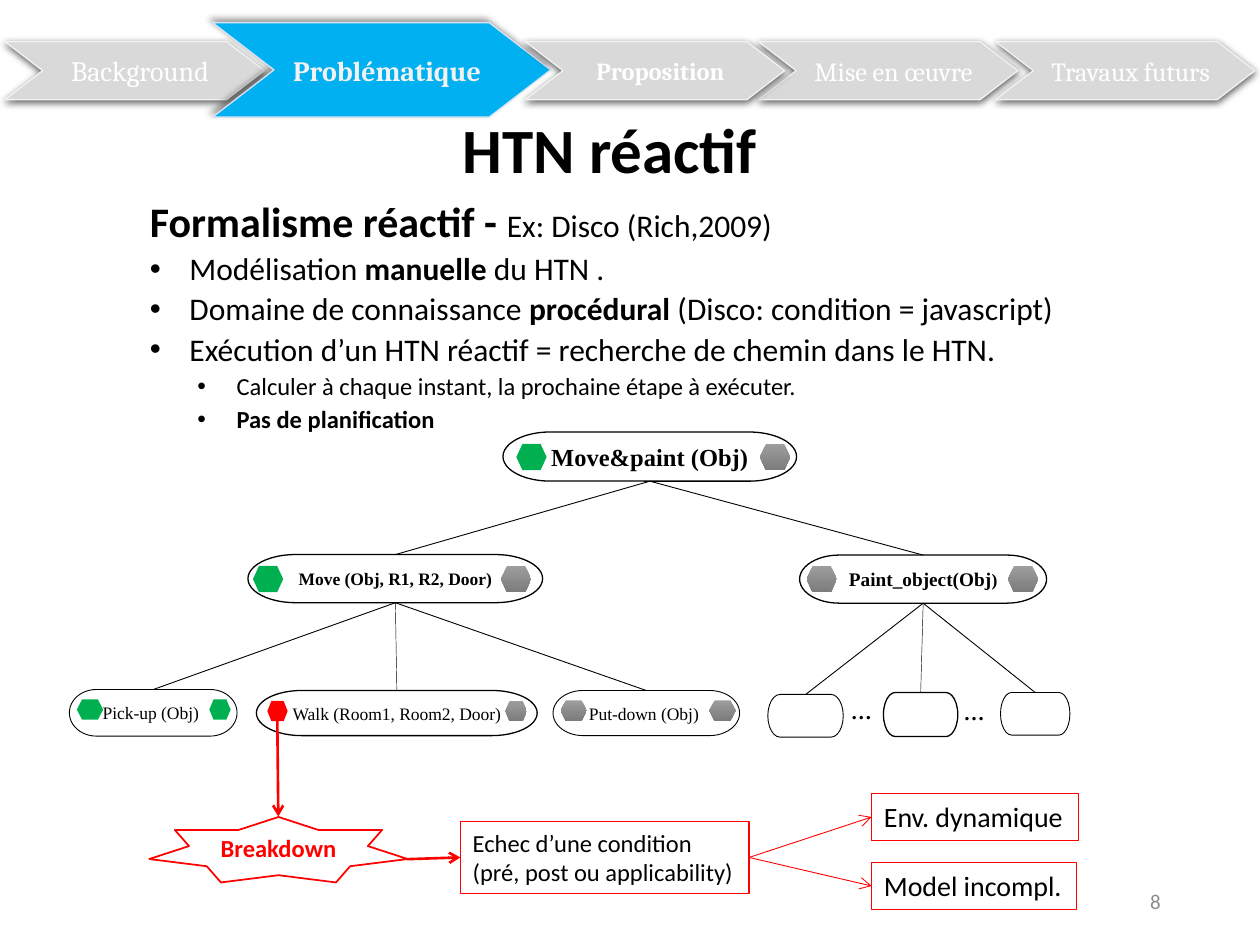
import pptx
import pptx.util
import pptx.dml.color
import pptx.enum.shapes
import pptx.enum.text
from lxml import etree
from pptx.oxml.ns import qn
from pptx.util import Cm

SHAPE = pptx.enum.shapes.MSO_SHAPE
ALIGN = pptx.enum.text.PP_ALIGN
ANCHOR = pptx.enum.text.MSO_ANCHOR

THEME = {
    "body_font": "Calibri", "tree_font": "Times New Roman", "nav_font": "Cambria",
    "text": "000000", "node": "FFFFFF", "alert": "FF0000", "done": "00B050",
    "pending": ("9D9D9D", "7C7C7C"), "number": "8C8C8C",
    "nav_text": "FFFFFF", "nav_active_text": "F2F2F2", "nav_idle": "D9D9D9", "nav_idle_line": "F2F2F2",
    "nav_active": "00B0F0", "nav_active_line": "DAE3F3",
    "title": 36, "heading": 24, "bullet": 18, "small": 14, "output": 16,
    "nav_bold": 14, "nav": 15, "nav_wide": 16, "leaf": 10, "branch": 11, "dots": 12, "page": 12,
}

# Content: lengths in centimetres
TITLE = "HTN réactif "
# label, left, size, bold, current section
SECTIONS = [
    ("Mise en œuvre", 15.29, "nav", False, False),
    ("Background", 0.1, "nav_wide", False, False),
    ("Problématique", 4.29, "nav_wide", True, True),
    ("Travaux futurs", 20.07, "nav", False, False),
    ("Proposition", 10.59, "nav_bold", True, False),
]
# level, size, runs as (text, overrides)
LINES = [
    (0, "heading", [("Formalisme réactif - ", {"bold": True}),
                    ("Ex: Disco (Rich,2009)", {"size": THEME["bullet"]})]),
    (1, "bullet", [("Modélisation ", {}), ("manuelle", {"bold": True}), (" du HTN .", {})]),
    (1, "bullet", [("Domaine de connaissance ", {}), ("procédural", {"bold": True}),
                   (" (Disco: condition = javascript)", {})]),
    (1, "bullet", "Exécution d’un HTN réactif = recherche de chemin dans le HTN."),
    (2, "small", "Calculer à chaque instant, la prochaine étape à exécuter."),
    (2, "small", [("Pas de planification", {"bold": True})]),
]
INDENTS = [(1.27, 0), (2.07, -0.8), (3.02, -0.79)]  # margin and hanging, by level
# text, box, size, bold, line width, marker top, markers as (left, width, state)
NODES = {
    "root": ("Move&paint (Obj)", (10.14, 8.71, 5.92, 0.99), "small", True, 0.75, 8.95,
             [(10.41, 0.61, "done"), (15.32, 0.61, "pending")]),
    "move": ("Move (Obj, R1, R2, Door)", (5, 11.18, 5.94, 0.97), "leaf", True, 0.75, 11.41,
             [(5.1, 0.61, "done"), (10.1, 0.61, "pending")]),
    "paint": ([("Paint_object(Obj", {}), (")", {"size": THEME["leaf"]})],
              (16.12, 11.19, 4.98, 0.97), "branch", True, 0.75, 11.41,
              [(16.26, 0.61, "pending"), (20.32, 0.61, "pending")]),
    "pick up": ("Pick-up (Obj)", (1.4, 13.9, 3.38, 0.94), "leaf", False, 0.5, 14.1,
                [(1.55, 0.53, "done"), (4.22, 0.43, "done")]),
    "walk": ("Walk (Room1, Room2, Door)", (5.17, 13.92, 5.66, 0.91), "leaf", False, 0.75, 14.13,
             [(5.39, 0.41, "alert"), (10.19, 0.43, "pending")]),
    "put down": ("Put-down (Obj)", (11.15, 13.92, 3.76, 0.91), "leaf", False, 0.5, 14.12,
                 [(11.3, 0.53, "pending"), (14.3, 0.53, "pending")]),
    "first step": ("", (15.48, 14, 1.52, 0.86), "leaf", False, 0.5, 0, []),
    "middle step": ("", (17.81, 13.96, 1.5, 0.89), "leaf", False, 0.75, 0, []),
    "last step": ("", (20.17, 13.96, 1.4, 0.86), "leaf", False, 0.5, 0, []),
}
CHILDREN = {
    "root": ["move", "paint"],
    "move": ["pick up", "walk", "put down"],
    "paint": ["first step", "middle step", "last step"],
}
THIN_LINKS = ("walk", "middle step")
LEFT_SET = {"pick up": (0.25, 0.13, 0.35, 0.13), "put down": (0.25, 0.13, 0.35, 0.13)}
DOTS = [(16.69, 13.89, 1.35, 0.91), (19.04, 13.87, 1.19, 0.99)]
CAUSE = (["Echec d’une condition", "(pré, post ou applicability)"], (9.28, 16.56, 5.82, 1.45), "small")
SOURCES = [
    (["Env. dynamique"], (17.57, 16, 4.17, 0.94), "output"),
    (["Model incompl."], (17.57, 17.39, 4.14, 0.94), "output"),
]


def rgb(value):
    return pptx.dml.color.RGBColor.from_string(value)


def add_shape(slide, kind, box, fill=None, line=None, width=0.75):
    shape = slide.shapes.add_shape(kind, *map(Cm, box))
    if fill is None:
        shape.fill.background()
    elif isinstance(fill, tuple):
        shape.fill.gradient()
        shape.fill.gradient_angle = 270
        for stop, color in zip(shape.fill.gradient_stops, fill):
            stop.color.rgb = rgb(color)
    else:
        shape.fill.solid()
        shape.fill.fore_color.rgb = rgb(fill)
    if line:
        shape.line.color.rgb = rgb(line)
        shape.line.width = pptx.util.Pt(width)
    else:
        shape.line.fill.background()
    shape.shadow.inherit = False
    return shape


def add_shadow(shape, alpha, blur, distance, angle):
    effects = shape._element.spPr.find(qn("a:effectLst"))
    shadow = etree.SubElement(effects, qn("a:outerShdw"), blurRad=str(pptx.util.Pt(blur)),
                              dist=str(pptx.util.Pt(distance)), dir=str(angle * 60000),
                              algn="ctr", rotWithShape="0")
    color = etree.SubElement(shadow, qn("a:srgbClr"), val="000000")
    etree.SubElement(color, qn("a:alpha"), val=str(alpha * 1000))


def add_text(shape, text, size, font="body_font", color="text", bold=False, align=ALIGN.CENTER,
             anchor=ANCHOR.MIDDLE, insets=None, wrap=True, level=0, indent=None,
             line_spacing=None, space_before=0):
    """Append one paragraph; text is a string or a list of (text, overrides)."""
    frame = shape.text_frame
    frame.word_wrap = wrap
    frame.vertical_anchor = anchor
    if insets:
        frame.margin_left, frame.margin_top, frame.margin_right, frame.margin_bottom = map(Cm, insets)
    first = not frame.text
    paragraph = frame.paragraphs[0] if first else frame.add_paragraph()
    paragraph.alignment = align
    if indent:
        properties = paragraph._p.get_or_add_pPr()
        properties.set("marL", str(Cm(indent[0])))
        properties.set("indent", str(Cm(indent[1])))
        if indent[1]:
            etree.SubElement(properties, qn("a:buFont"), typeface="Arial")
            etree.SubElement(properties, qn("a:buChar"), char="•")
    paragraph.level = level
    if line_spacing:
        paragraph.line_spacing = line_spacing
    if space_before and not first:
        paragraph.space_before = pptx.util.Pt(space_before)
    for words, changes in ([(text, {})] if isinstance(text, str) else text):
        run = paragraph.add_run()
        run.text = words
        run.font.name = THEME[font]
        run.font.size = pptx.util.Pt(changes.get("size", THEME[size]))
        run.font.bold = changes.get("bold", bold)
        run.font.color.rgb = rgb(THEME[color])


def add_line(slide, start, end, color, width, arrow=False):
    """Each end is a point in centimetres or a (shape, side) pair."""
    points = [(0, 0) if hasattr(place[0], "shape_id") else place for place in (start, end)]
    connector = slide.shapes.add_connector(pptx.enum.shapes.MSO_CONNECTOR.STRAIGHT,
                                           *[Cm(value) for point in points for value in point])
    for place, connect in ((start, connector.begin_connect), (end, connector.end_connect)):
        if hasattr(place[0], "shape_id"):
            connect(*place)
    connector.line.color.rgb = rgb(THEME[color])
    connector.line.width = pptx.util.Pt(width)
    properties = connector._element.spPr
    if arrow:
        etree.SubElement(properties.find(qn("a:ln")), qn("a:tailEnd"), type="arrow")
    etree.SubElement(properties, qn("a:effectLst"))


def add_cause_box(slide, lines, box, size):
    shape = add_shape(slide, SHAPE.RECTANGLE, box, line=THEME["alert"])
    for line in lines:
        add_text(shape, line, size, align=ALIGN.LEFT, anchor=ANCHOR.TOP, wrap=False)
    return shape


def main():
    presentation = pptx.Presentation()
    presentation.slide_width, presentation.slide_height = Cm(25.4), Cm(19.05)
    slide = presentation.slides.add_slide(presentation.slide_layouts[5])

    # Title and bullets
    title = slide.shapes.title
    title.left, title.top, title.width, title.height = map(Cm, (1.49, 2.33, 21.89, 1.52))
    add_text(title, TITLE, "title", bold=True, line_spacing=0.9)
    body = slide.shapes.add_textbox(*map(Cm, (1.5, 3.94, 22.17, 12.04)))
    for level, size, text in LINES:
        add_text(body, text, size, align=ALIGN.JUSTIFY, anchor=ANCHOR.TOP, level=level,
                 indent=INDENTS[level], line_spacing=0.9, space_before=3.6)

    # Task tree
    nodes = {}
    for name, (text, box, size, bold, width, marker_top, markers) in NODES.items():
        nodes[name] = add_shape(slide, SHAPE.FLOWCHART_TERMINATOR, box, THEME["node"], THEME["text"], width)
        if text:
            add_text(nodes[name], text, size, font="tree_font", bold=bold, wrap=False,
                     insets=LEFT_SET.get(name))
        for left, marker_width, state in markers:
            height = 0.53 if marker_width > 0.6 else 0.41
            add_shape(slide, SHAPE.FLOWCHART_PREPARATION,
                      (left, marker_top, marker_width, height), THEME[state])
    for parent, children in CHILDREN.items():
        for child in children:
            add_line(slide, (nodes[parent], 2), (nodes[child], 0), "text", 0.25 if child in THIN_LINKS else 0.5)
    for box in DOTS:
        add_text(slide.shapes.add_textbox(*map(Cm, box)), "…", "dots", font="tree_font", bold=True)

    # Breakdown and its causes
    breakdown = add_shape(slide, SHAPE.STAR_7_POINT, (3.01, 16.47, 5.21, 1.32), line=THEME["alert"], width=1)
    add_text(breakdown, "Breakdown", "small", color="alert", bold=True, wrap=False)
    cause = add_cause_box(slide, *CAUSE)
    add_line(slide, (5.59, 14.53), (5.61, 16.46), "alert", 1.5, arrow=True)
    add_line(slide, (8.2, 17.32), (cause, 1), "alert", 1.5, arrow=True)
    for source in SOURCES:
        add_line(slide, (cause, 3), (add_cause_box(slide, *source), 1), "alert", 0.5, arrow=True)

    # Section chevrons
    for label, left, size, bold, current in SECTIONS:
        box = (left, 0.46, 6.81, 1.9) if current else (left, 0.84, 5.23, 1.17)
        state = "nav_active" if current else "nav_idle"
        chevron = add_shape(slide, SHAPE.CHEVRON, box, THEME[state], THEME[state + "_line"])
        chevron.adjustments[0] = 0.65
        add_shadow(chevron, *((40, 4, 3, 225) if current else (63, 4.5, 1.5, 90)))
        add_text(chevron, label, size, font="nav_font", bold=bold,
                 color="nav_active_text" if current else "nav_text",
                 insets=(0.25, 0.03, 0.03, 0.03), wrap=False)

    # Slide number
    number = slide.shapes.add_textbox(*map(Cm, (17.93, 17.65, 5.72, 1.02)))
    add_text(number, "8", "page", color="number", align=ALIGN.RIGHT)

    presentation.save("out.pptx")


if __name__ == "__main__":
    main()
